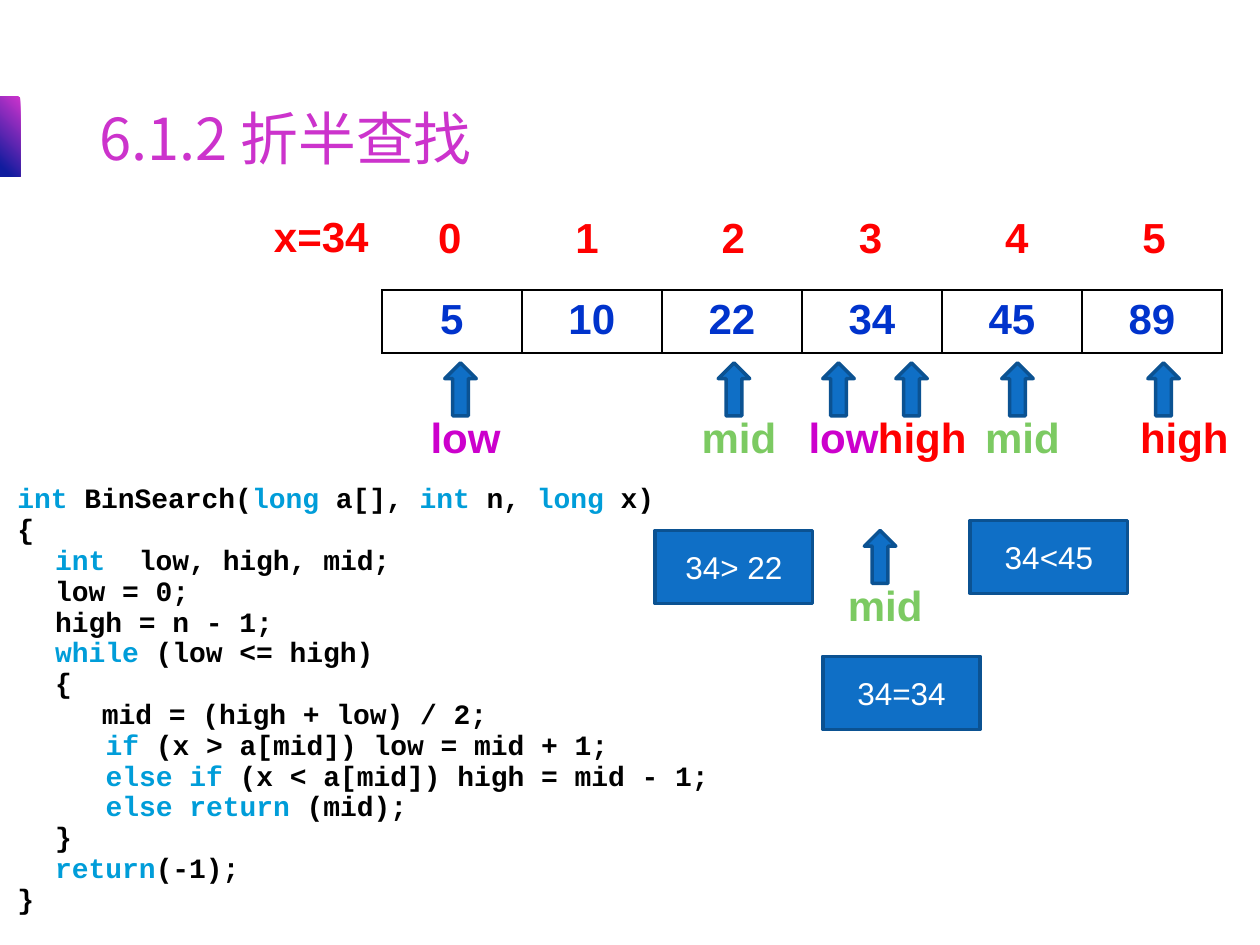
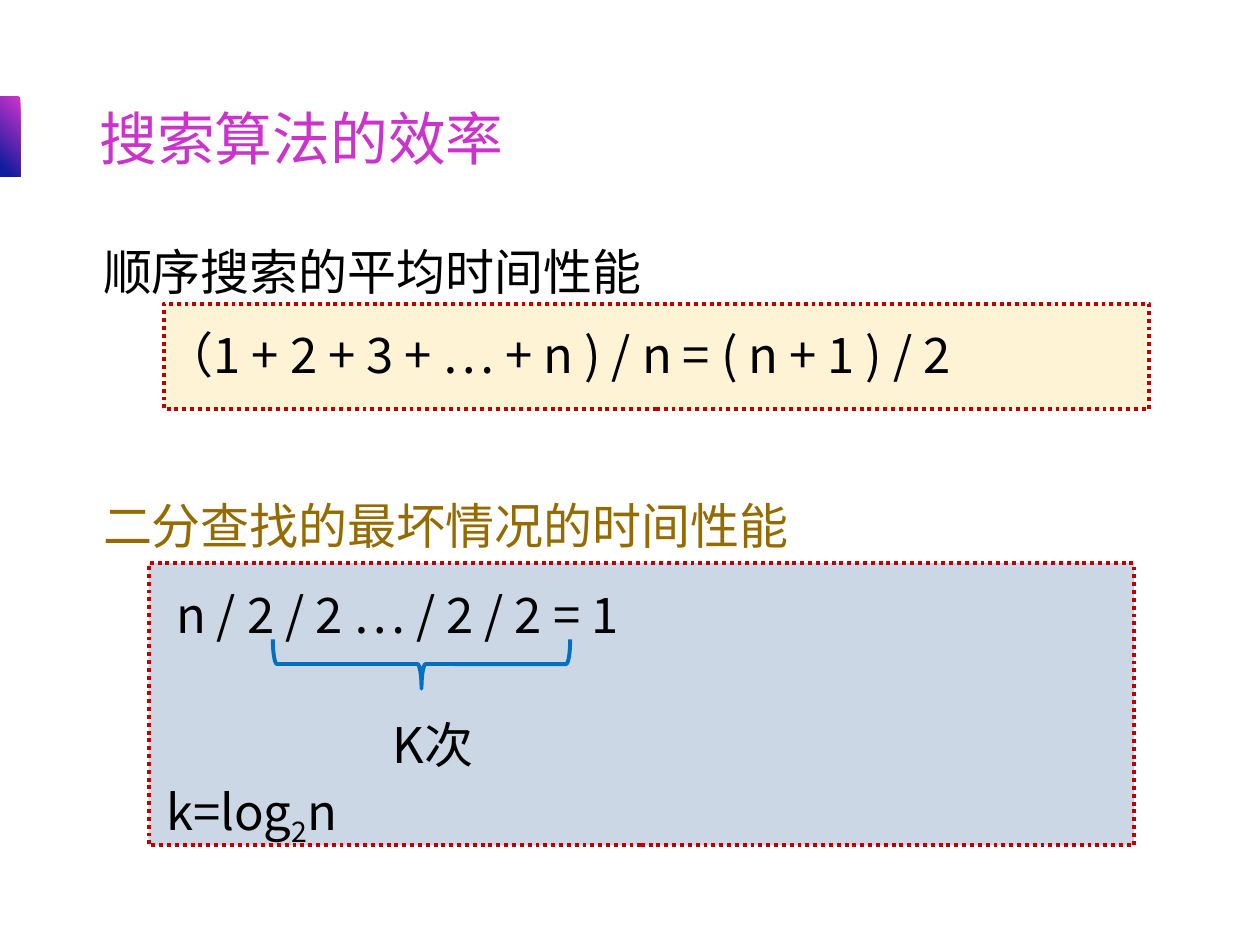
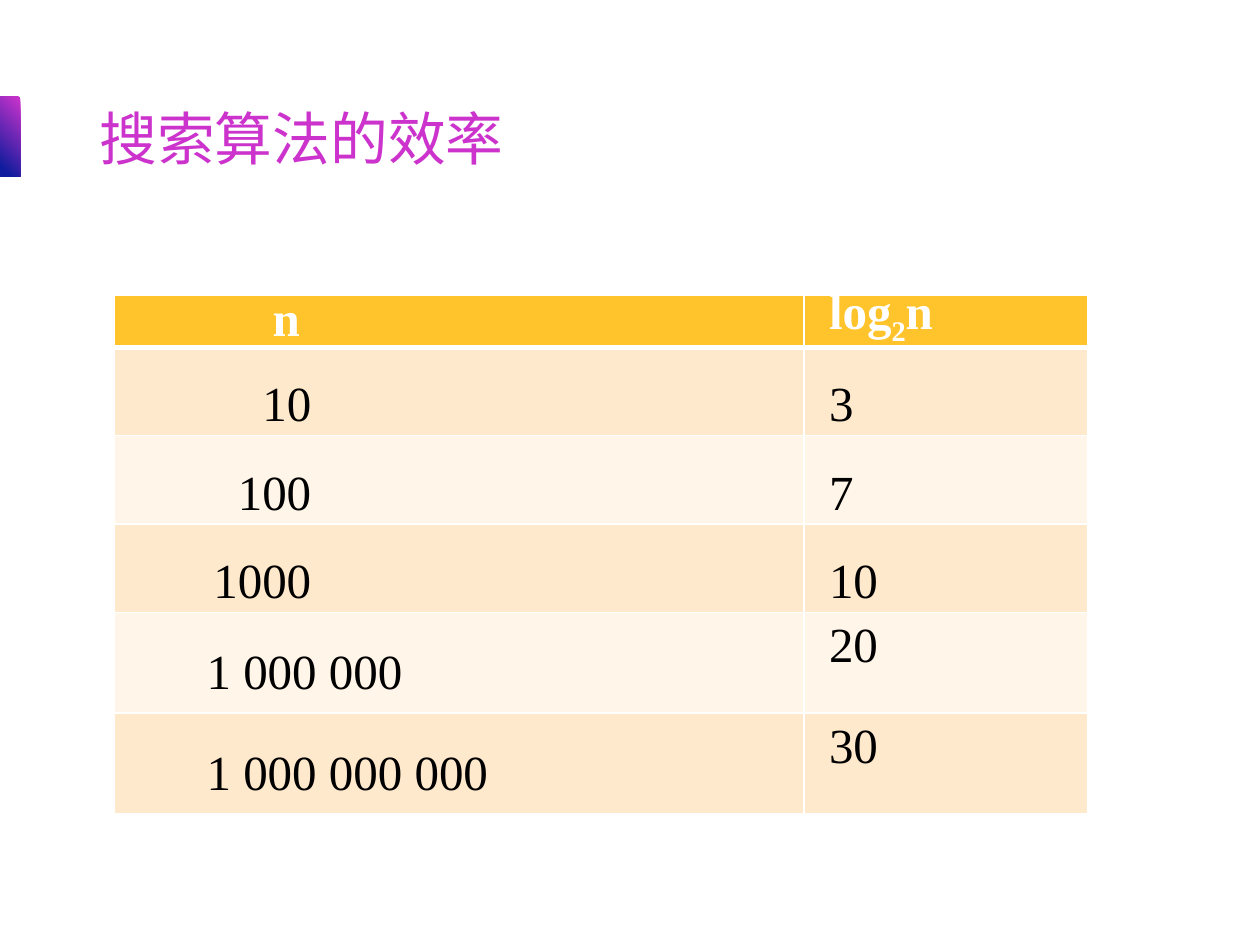
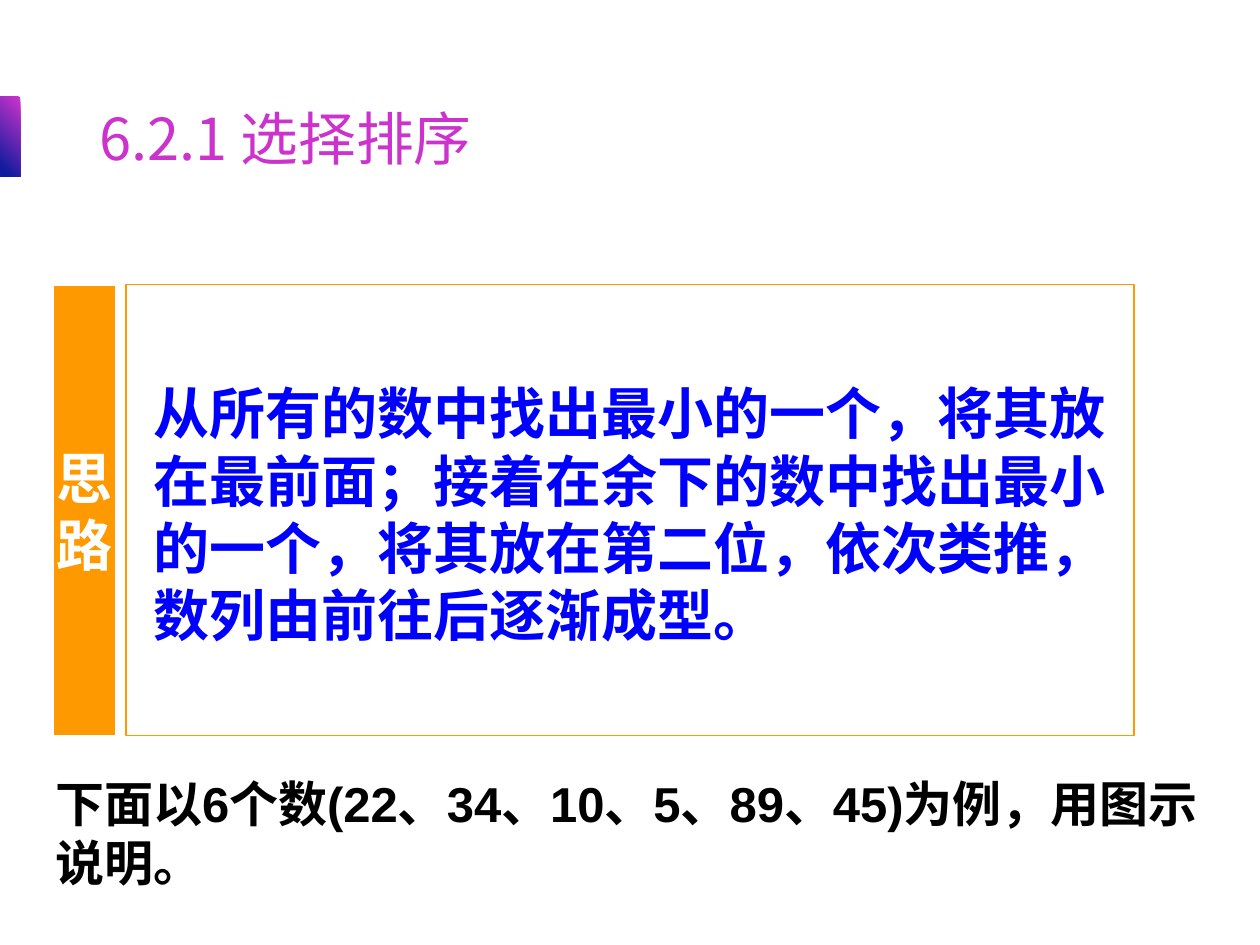
from lxml import etree
from pptx import Presentation
from pptx.dml.color import RGBColor
from pptx.enum.dml import MSO_LINE
from pptx.enum.shapes import MSO_SHAPE
from pptx.enum.text import MSO_ANCHOR, PP_ALIGN
from pptx.oxml.ns import qn
from pptx.util import Inches, Pt

RECT, UP_ARROW, BRACE = MSO_SHAPE.RECTANGLE, MSO_SHAPE.UP_ARROW, MSO_SHAPE.RIGHT_BRACE
TOP, MIDDLE, BOTTOM = MSO_ANCHOR.TOP, MSO_ANCHOR.MIDDLE, MSO_ANCHOR.BOTTOM
LEFT, CENTER, RIGHT = PP_ALIGN.LEFT, PP_ALIGN.CENTER, PP_ALIGN.RIGHT
DOTTED = MSO_LINE.ROUND_DOT

# ---- Theme ----
THEME = {
    "sans": "Arial", "cjk": "Noto Sans CJK SC", "serif": "Times New Roman", "mono": "Courier New",
    "title": 33, "idea": 32, "body": 28, "label": 24, "note": 18, "code": 16,
    "pink": "CC33CC", "navy": "101C9E", "black": "000000", "white": "FFFFFF",
    "keyword": "009DD9", "number": "0033CC", "red": "FF0000", "purple": "CC00CC",
    "green": "7CCA62", "blue": "0F6FC6", "blue_edge": "0B5292", "brace": "0070C0",
    "dots": "C00000", "cream": "FFF3D5", "mist": "CBD7E5", "olive": "956B00",
    "orange": "FF9900", "idea_text": "0000FF",
    "head": "FFC32B", "odd": "FFE9CD", "even": "FFF5E8",
}
SLIDE_W, SLIDE_H = 10, 7.5

# ---- Content ----
TITLES = ["6.1.2 折半查找", "搜索算法的效率", "搜索算法的效率", "6.2.1 选择排序"]

NUMBERS = [5, 10, 22, 34, 45, 89]
# Each line: indent in inches, then code with keywords between backticks
CODE = [
    (0, "`int` BinSearch(`long` a[], `int` n, `long` x)"),
    (0, "{"),
    (0.3, "`int`  low, high, mid;"),
    (0.3, "low = 0;"),
    (0.3, "high = n - 1;"),
    (0.3, "`while` (low <= high)"),
    (0.3, "{"),
    (0.67, "mid = (high + low) / 2;"),
    (0.7, "`if` (x > a[mid]) low = mid + 1;"),
    (0.7, "`else if` (x < a[mid]) high = mid - 1;"),
    (0.7, "`else return` (mid);"),
    (0.3, "}"),
    (0.3, "`return`(-1);"),
    (0, "}"),
]
POINTER_COLOURS = {"low": "purple", "mid": "green", "high": "red"}
# Name, left, top, label width
POINTERS = [
    ("low", 3.28, 2.88, 0.83), ("high", 8.86, 2.88, 1.08), ("mid", 5.45, 2.88, 0.83),
    ("low", 6.28, 2.88, 0.83), ("mid", 7.7, 2.88, 0.83), ("high", 6.86, 2.88, 0.92),
    ("mid", 6.61, 4.21, 0.83),
]
COMPARISONS = [("34> 22", 5.2, 4.21), ("34<45", 7.7, 4.13), ("34=34", 6.53, 5.21)]

LOG_N = [("log", {}), ("2", {"base": -25}), ("n", {})]
GROWTH = [("10", "3"), ("100", "7"), ("1000", "10"),
          ("1 000 000", "20"), ("1 000 000 000", "30")]

IDEA = ("从所有的数中找出最小的一个，将其放在最前面；接着在余下的数中找出最小的一个，"
        "将其放在第二位，依次类推，数列由前往后逐渐成型。")
EXAMPLE = "下面以6个数(22、34、10、5、89、45)为例，用图示说明。"


# ---- Helpers ----
def rgb(name):
    return RGBColor.from_string(THEME[name])


def box(left, top, width, height):
    return [Inches(v) for v in (left, top, width, height)]


def paint_gradient(fill, end):
    """Pink to navy, running down to the left."""
    fill.gradient()
    fill.gradient_angle = 225
    for stop, colour, place in zip(fill.gradient_stops, ("pink", "navy"), (0, end)):
        stop.color.rgb = rgb(colour)
        stop.position = place


def style_run(run, size, font, colour, bold=False, base=0):
    values = {"name": THEME[font], "size": Pt(THEME[size]), "bold": bold}
    for key, value in values.items():
        setattr(run.font, key, value)
    if colour == "gradient":
        paint_gradient(run.font.fill, 0.62)
    else:
        run.font.color.rgb = rgb(colour)
    props = run.font._element
    if base:
        props.set("baseline", str(base * 1000))
    east_asian = etree.Element(qn("a:ea"), typeface=THEME["cjk"])
    props.find(qn("a:latin")).addnext(east_asian)


def write(frame, paragraphs, indent=0, fmt=None, **style):
    """Each paragraph is a string, a list of runs, or (runs, indent, format)."""
    for i, item in enumerate(paragraphs):
        runs, inset, own = item if isinstance(item, tuple) else (item, indent, {})
        paragraph = frame.paragraphs[0] if i == 0 else frame.add_paragraph()
        for key, value in {**(fmt or {}), **own}.items():
            setattr(paragraph, key, value)
        if inset:
            paragraph._p.get_or_add_pPr().set("marL", str(Inches(inset)))
        for text, change in ([(runs, {})] if isinstance(runs, str) else runs):
            run = paragraph.add_run()
            run.text = text
            style_run(run, **{**style, **change})


def set_frame(frame, anchor=TOP, wrap=True, margins=(0.1, 0.05, 0.1, 0.05)):
    frame.word_wrap = wrap
    frame.vertical_anchor = anchor
    for side, value in zip(("left", "top", "right", "bottom"), margins):
        setattr(frame, f"margin_{side}", Inches(value))
    return frame


def add_text(shapes, place, paragraphs, anchor=TOP, **style):
    frame = set_frame(shapes.add_textbox(*box(*place)).text_frame, anchor)
    write(frame, paragraphs, **style)


def add_figure(shapes, kind, place, fill=None, line=None, width=1, dash=None):
    figure = shapes.add_shape(kind, *box(*place))
    figure.shadow.inherit = False
    if fill:
        figure.fill.solid()
        figure.fill.fore_color.rgb = rgb(fill)
    else:
        figure.fill.background()
    if line:
        figure.line.color.rgb = rgb(line)
        figure.line.width = Pt(width)
        if dash:
            figure.line.dash_style = dash
    else:
        figure.line.fill.background()
    return figure


def set_borders(cell, colour, widths):
    """Widths in points: left, right, top, bottom."""
    props = cell._tc.get_or_add_tcPr()
    for i, (side, width) in enumerate(zip("LRTB", widths)):
        line = etree.Element(qn(f"a:ln{side}"), w=str(Pt(width)))
        solid = etree.SubElement(line, qn("a:solidFill"))
        etree.SubElement(solid, qn("a:srgbClr"), val=THEME[colour])
        props.insert(i, line)


def add_grid(shapes, left, top, columns, rows):
    table = shapes.add_table(len(rows), len(columns),
                             *box(left, top, sum(columns), sum(rows))).table
    table.first_row = table.horz_banding = False
    for column, width in zip(table.columns, columns):
        column.width = Inches(width)
    for row, height in zip(table.rows, rows):
        row.height = Inches(height)
    return table


def add_titled_slide(deck, title):
    shapes = deck.slides.add_slide(deck.slide_layouts[6]).shapes
    band = add_figure(shapes, RECT, (0, 0.77, 0.16, 0.63))
    paint_gradient(band.fill, 0.9)
    add_text(shapes, (0.69, 0.4, 8.62, 1.02), [title], BOTTOM, fmt={"line_spacing": 0.9},
             size="title", font="cjk", colour="gradient")
    return shapes


# ---- Slide 1: binary search ----
def build_binary_search(shapes):
    lines = []
    for indent, code in CODE:
        runs = [(part, {"colour": "keyword"} if i % 2 else {})
                for i, part in enumerate(code.split("`")) if part]
        lines.append((runs, indent, {}))
    add_text(shapes, (0.04, 3.83, 8.9, 3.62), lines, size="code", font="mono",
             colour="black", bold=True, fmt={"line_spacing": 0.75, "space_before": Pt(3.2)})

    label = {"size": "label", "font": "sans", "bold": True, "fmt": {"alignment": CENTER}}
    add_text(shapes, (2.01, 1.62, 1.08, 0.51), ["x=34"], colour="red", **label)
    array = add_grid(shapes, 3.03, 2.3, [6.67 / len(NUMBERS)] * len(NUMBERS), [0.41])
    for i, number in enumerate(NUMBERS):
        left = 3.03 + 2.25 * (i // 2) + 1.09 * (i % 2)
        add_text(shapes, (left, 1.63, 1.08, 0.51), [str(i)], colour="red", **label)
        cell = array.cell(0, i)
        cell.fill.background()
        set_borders(cell, "black", (1, 1, 1, 1))
        write(cell.text_frame, [str(number)], colour="number", **label)

    for name, left, top, width in POINTERS:
        pointer = shapes.add_group_shape().shapes
        add_text(pointer, (left, top + 0.34, width, 0.51), [name],
                 colour=POINTER_COLOURS[name], **label)
        add_figure(pointer, UP_ARROW, (left + 0.25, top, 0.25, 0.42), "blue", "blue_edge", 2)

    for text, left, top in COMPARISONS:
        note = add_figure(shapes, RECT, (left, top, 1.25, 0.58), "blue", "blue_edge", 2)
        write(set_frame(note.text_frame, MIDDLE), [text], size="note", font="sans",
              colour="white", fmt={"alignment": CENTER})


# ---- Slide 2: efficiency formulas ----
def build_efficiency(shapes):
    body = {"size": "body", "font": "cjk", "colour": "black"}
    spaced = {"line_spacing": 1.3}
    add_figure(shapes, RECT, (1.18, 4.47, 7.82, 2.24), "mist", "dots", 2.25, DOTTED)
    add_figure(shapes, RECT, (1.3, 2.41, 7.82, 0.84), "cream", "dots", 2.25, DOTTED)
    add_text(shapes, (0.72, 1.73, 8.46, 1.87), ["顺序搜索的平均时间性能"], fmt=spaced, **body)
    add_text(shapes, (1.21, 2.53, 7.59, 0.57),
             ["（1 + 2 + 3 + … + n ) / n = ( n + 1 ) / 2"], **body)
    add_text(shapes, (0.72, 3.74, 8.46, 0.71), ["二分查找的最坏情况的时间性能"],
             fmt=spaced, **{**body, "colour": "olive"})
    halving = ("n / 2 / 2 … / 2 / 2 = 1", 0.09, {})
    steps = ([("k=", {})] + LOG_N, 0.01, {"space_before": Pt(67.5)})
    add_text(shapes, (1.21, 4.45, 6.07, 2.37), [halving, steps], fmt=spaced, **body)
    add_text(shapes, (3.02, 5.62, 0.96, 0.57), ["K次"], **body)
    brace = add_figure(shapes, BRACE, (3.15, 4.09, 0.39, 2.36), None, "brace", 2.25)
    brace.rotation = 90


# ---- Slide 3: growth table ----
def build_growth(shapes):
    # Rows start low and grow to fit their text
    table = add_grid(shapes, 0.91, 2.34, [5.47, 2.25], [0.35] + [0.55] * 3 + [0.56] * 2)
    for r, row in enumerate([("n", LOG_N)] + GROWTH):
        header, large = r == 0, r > 3
        for c, content in enumerate(row):
            cell = table.cell(r, c)
            # Small sizes line up on the right, large ones start at a left indent
            flush = c == 0 and not large
            values = {
                "margin_left": Inches(0.2 if c else 0.73),
                "margin_right": Inches((4 if header else 3.91) if flush else 0.06),
                "margin_top": Inches(0.05 if large else 0),
                "margin_bottom": Inches(0.05 if large else 0),
                "vertical_anchor": TOP if header or large else MIDDLE,
            }
            for key, value in values.items():
                setattr(cell, key, value)
            cell.fill.solid()
            cell.fill.fore_color.rgb = rgb("head" if header else "odd" if r % 2 else "even")
            set_borders(cell, "white", (1, 1, 3 if r == 1 else 1, 3 if header else 1))
            spacing = Pt(30) if header else 1.0 if large and c else 1.5
            write(cell.text_frame, [content], size="body", font="serif", bold=header,
                  colour="white" if header else "black",
                  fmt={"alignment": RIGHT if flush else LEFT, "line_spacing": spacing})


# ---- Slide 4: selection sort ----
def build_selection_sort(shapes):
    bold = {"size": "idea", "font": "cjk", "bold": True}
    idea = add_figure(shapes, RECT, (1, 2.26, 8, 3.58), None, "orange", 0.75)
    write(set_frame(idea.text_frame, MIDDLE, margins=(0.22, 0.05, 0.2, 0)), [IDEA],
          colour="idea_text", fmt={"alignment": LEFT}, **bold)
    tab = add_figure(shapes, RECT, (0.42, 2.26, 0.5, 3.58), "orange", "white", 1)
    write(set_frame(tab.text_frame, MIDDLE, wrap=False), ["思", "路"],
          colour="white", fmt={"alignment": CENTER}, **bold)
    add_text(shapes, (0.34, 6.09, 9.58, 1.04), [EXAMPLE], size="body", font="sans",
             colour="black", bold=True)


def main():
    deck = Presentation()
    deck.slide_width, deck.slide_height = Inches(SLIDE_W), Inches(SLIDE_H)
    builders = [build_binary_search, build_efficiency, build_growth, build_selection_sort]
    for title, build in zip(TITLES, builders):
        build(add_titled_slide(deck, title))
    deck.save("out.pptx")


if __name__ == "__main__":
    main()
